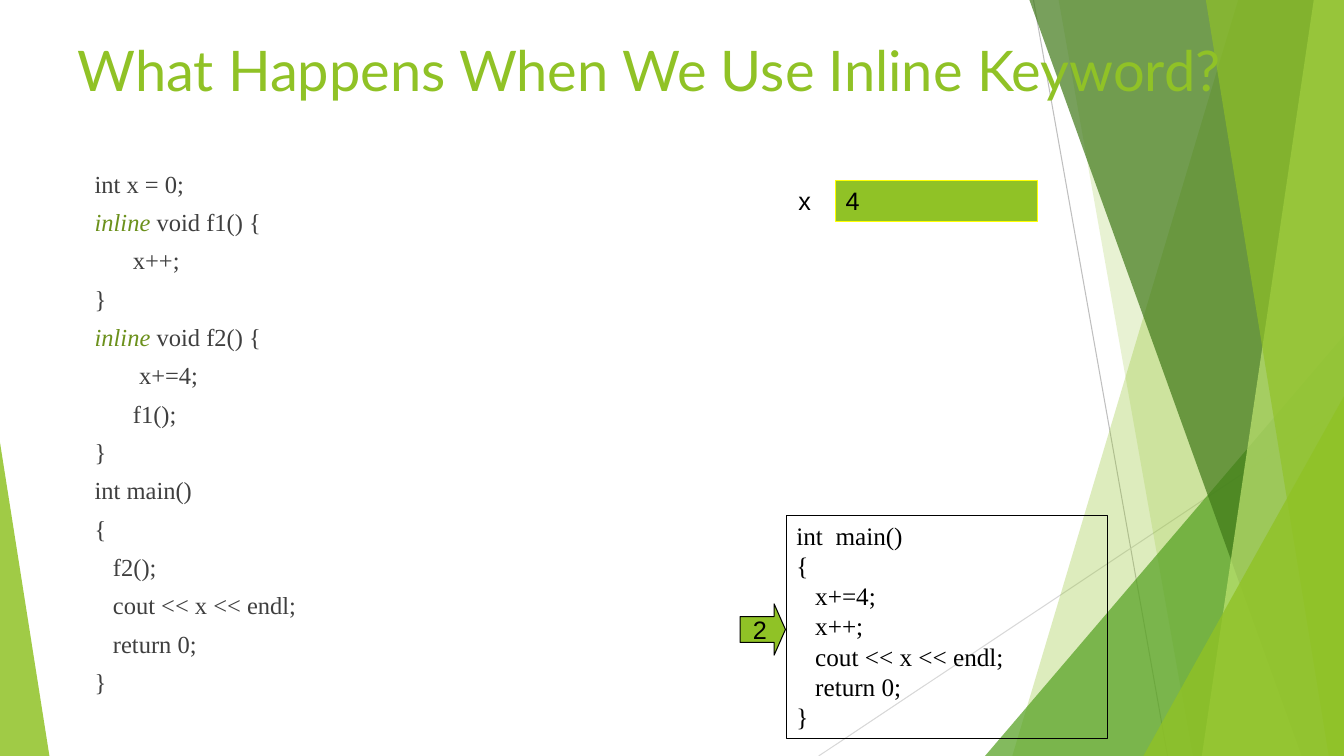
from dataclasses import dataclass

from lxml import etree
from pptx import Presentation
from pptx.dml.color import RGBColor
from pptx.enum.shapes import MSO_CONNECTOR, MSO_SHAPE
from pptx.enum.text import MSO_ANCHOR, PP_ALIGN
from pptx.oxml.ns import qn
from pptx.util import Inches, Pt

STRAIGHT = MSO_CONNECTOR.STRAIGHT
RECTANGLE = MSO_SHAPE.RECTANGLE
TRIANGLE = MSO_SHAPE.ISOSCELES_TRIANGLE
RIGHT_ARROW = MSO_SHAPE.RIGHT_ARROW
TOP, MIDDLE = MSO_ANCHOR.TOP, MSO_ANCHOR.MIDDLE
LEFT, CENTER = PP_ALIGN.LEFT, PP_ALIGN.CENTER

WIDTH, HEIGHT = 13.33, 7.5


@dataclass(frozen=True)
class Theme:
    green: str = "90C226"
    leaf: str = "54A021"
    forest: str = "3F7818"
    lime: str = "BFE471"
    keyword: str = "6C911C"
    code: str = "3F3F3F"
    black: str = "000000"
    yellow: str = "FFFF00"
    gray: str = "BFBFBF"
    light_gray: str = "D8D8D8"
    title_size: float = 40
    label_size: float = 18
    code_size: float = 17.5
    line_width: float = 0.75
    title_font: str = "Lato"
    label_font: str = "Arial"
    code_font: str = "Times New Roman"


def assign(target, values):
    for name, value in values.items():
        setattr(target, name, value)


class SlideBuilder:
    def __init__(self, slide, theme):
        self.shapes = slide.shapes
        self.theme = theme

    def line(self, start, end, color):
        connector = self.shapes.add_connector(STRAIGHT, *map(Inches, start + end))
        self.outline(connector, color)
        etree.SubElement(connector._element.find(qn("p:spPr")), qn("a:effectLst"))

    def outline(self, shape, color):
        shape.line.color.rgb = RGBColor.from_string(color)
        shape.line.width = Pt(self.theme.line_width)

    def paint(self, shape, fill=None, opacity=100, line=None):
        shape.shadow.inherit = False
        if fill:
            shape.fill.solid()
            shape.fill.fore_color.rgb = RGBColor.from_string(fill)
        else:
            shape.fill.background()
        if opacity < 100:
            color = shape._element.find(".//" + qn("a:srgbClr"))
            etree.SubElement(color, qn("a:alpha"), val=str(opacity * 1000))
        if line:
            self.outline(shape, line)
        else:
            shape.line.fill.background()

    def ray(self, top_left, top_right, bottom_right, bottom_left, fill, opacity):
        start, *corners = [
            (Inches(x), Inches(y))
            for x, y in ((top_left, 0), (top_right, 0), (bottom_right, HEIGHT), (bottom_left, HEIGHT))
        ]
        builder = self.shapes.build_freeform(*start)
        builder.add_line_segments(corners)
        self.paint(builder.convert_to_shape(), fill, opacity)

    def shape(self, kind, box, adjustments=(), **colors):
        shape = self.shapes.add_shape(kind, *map(Inches, box))
        for index, value in enumerate(adjustments):
            shape.adjustments[index] = value
        self.paint(shape, **colors)
        return shape

    def text_box(self, box):
        return self.shapes.add_textbox(*map(Inches, box))

    def typeset(self, shape, lines, font, size, color, anchor=TOP, align=LEFT,
                keyword=None, hanging=0, **spacing):
        frame = shape.text_frame
        assign(frame, {"word_wrap": True, "vertical_anchor": anchor})
        for index, line in enumerate(lines):
            paragraph = frame.add_paragraph() if index else frame.paragraphs[0]
            assign(paragraph, {"alignment": align, **spacing})
            if not index:
                paragraph.space_before = Pt(0)
            if hanging:
                properties = paragraph._p.get_or_add_pPr()
                properties.set("marL", str(Inches(hanging)))
                properties.set("indent", str(-Inches(hanging)))
            marked = bool(keyword) and line.startswith(keyword)
            parts = [(keyword, True), (line.removeprefix(keyword), False)] if marked else [(line, False)]
            for text, emphasized in parts:
                run = paragraph.add_run()
                run.text = text
                assign(run.font, {"name": font, "size": Pt(size), "italic": emphasized})
                run.font.color.rgb = RGBColor.from_string(self.theme.keyword if emphasized else color)


def draw_background(builder, theme):
    builder.line((10.25, 0), (11.58, HEIGHT), theme.gray)
    builder.line((WIDTH, 4.03), (8.12, HEIGHT), theme.light_gray)
    builder.ray(12.28, WIDTH, WIDTH, 10.04, theme.green, 30)
    builder.ray(10.5, WIDTH, WIDTH, 11.83, theme.green, 20)
    builder.shape(TRIANGLE, (9.77, 3.33, 3.56, 4.17), [1], fill=theme.leaf, opacity=72)
    builder.ray(10.21, WIDTH, WIDTH, 12.91, theme.forest, 70)
    builder.ray(13.03, WIDTH, WIDTH, 11.92, theme.lime, 70)
    builder.ray(11.96, WIDTH, WIDTH, 13.18, theme.green, 65)
    builder.shape(TRIANGLE, (11.34, 3.93, 1.99, 3.57), [1], fill=theme.green, opacity=80)
    builder.shape(TRIANGLE, (0, 4.39, 0.49, 3.11), [0], fill=theme.green, opacity=85)


def draw_content(builder, theme):
    label = {"font": theme.label_font, "size": theme.label_size, "color": theme.black}

    title = builder.text_box((0.67, 0.3, 12, 1.25))
    builder.typeset(title, ["What Happens When We Use Inline Keyword?"],
                    theme.title_font, theme.title_size, theme.green)

    x_value = builder.shape(RECTANGLE, (8.29, 1.79, 2, 0.41), fill=theme.green, line=theme.yellow)
    builder.typeset(x_value, ["4"], **label)
    x_name = builder.text_box((7.82, 1.79, 0.36, 0.4))
    builder.typeset(x_name, ["x"], **label)

    expanded_main = builder.shape(RECTANGLE, (7.8, 5.11, 3.18, 2.22), line=theme.black)
    builder.typeset(
        expanded_main,
        ["int  main()", "{", "   x+=4;", "   x++;", "   cout << x << endl;", "   return 0;", "}"],
        theme.code_font, theme.label_size, theme.black,
    )

    step = builder.shape(RIGHT_ARROW, (7.34, 5.99, 0.45, 0.51), [0.5, 0.25],
                         fill=theme.green, line=theme.black)
    builder.typeset(step, ["2"], anchor=MIDDLE, align=CENTER, **label)

    source_code = builder.text_box((0.84, 1.68, 6.39, 5.35))
    builder.typeset(
        source_code,
        ["int x = 0;", "inline void f1() {", "\tx++;", "}",
         "inline void f2() {", "\t x+=4;", "\tf1();", "}",
         "int main()", "{", "   f2();", "   cout << x << endl;", "   return 0;", "}"],
        theme.code_font, theme.code_size, theme.code,
        keyword="inline", hanging=0.38, line_spacing=0.8, space_before=Pt(10.6),
    )


def main():
    presentation = Presentation()
    assign(presentation, {"slide_width": Inches(WIDTH), "slide_height": Inches(HEIGHT)})
    theme = Theme()
    builder = SlideBuilder(presentation.slides.add_slide(presentation.slide_layouts[6]), theme)
    draw_background(builder, theme)
    draw_content(builder, theme)
    presentation.save("out.pptx")


if __name__ == "__main__":
    main()
